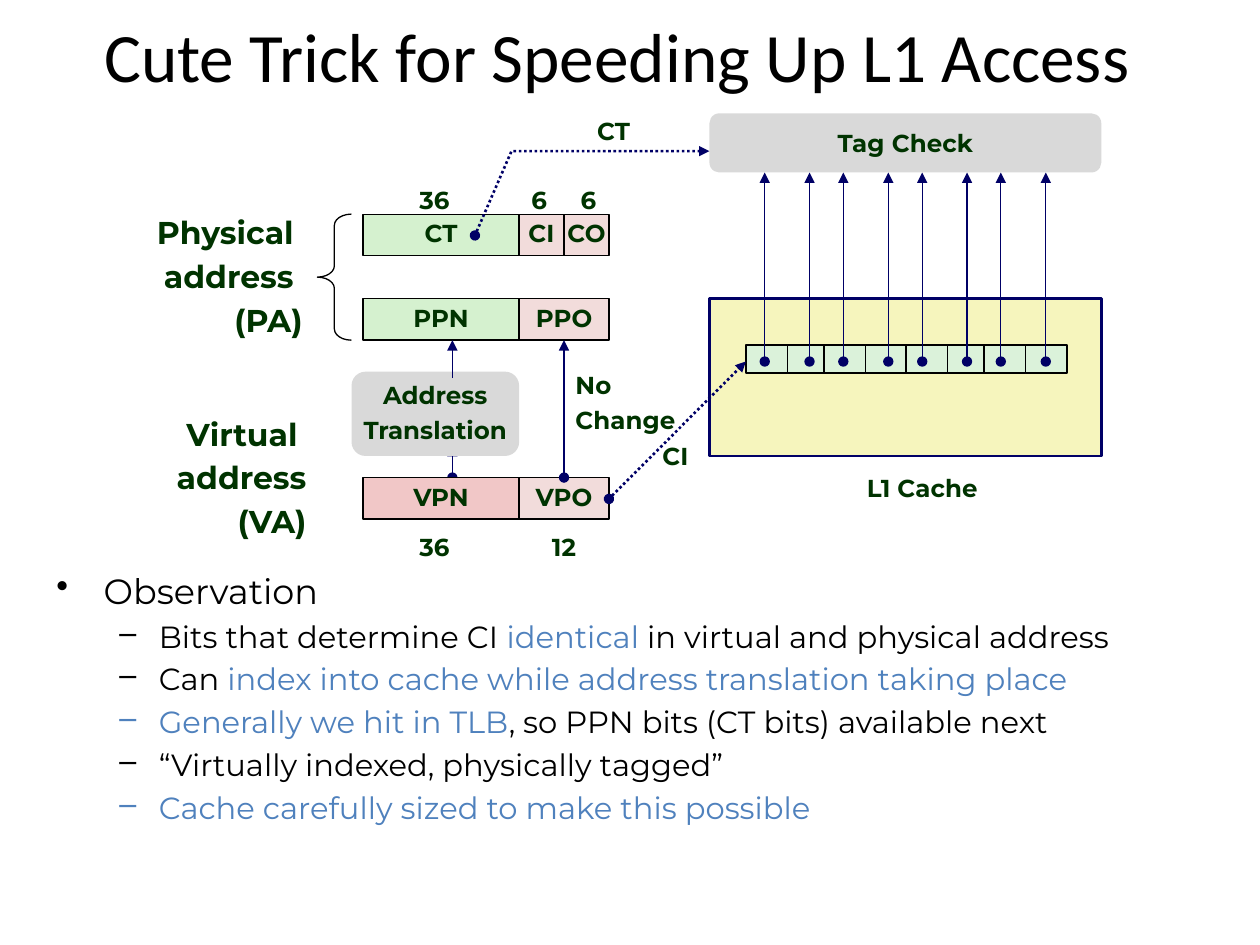
from lxml.etree import SubElement
from pptx import Presentation
from pptx.dml.color import RGBColor
from pptx.enum.dml import MSO_LINE
from pptx.enum.shapes import MSO_CONNECTOR, MSO_SHAPE as SHAPE
from pptx.enum.text import MSO_ANCHOR as ANCHOR, PP_ALIGN as ALIGN
from pptx.oxml.ns import qn
from pptx.util import Pt

COLORS = {
    "black": "000000", "accent": "4F81BD", "label": "003300", "navy": "000066",
    "green": "D5F1CF", "pink": "F2DCDB", "rose": "F1C7C7", "grey": "D9D9D9",
    "yellow": "F6F5BD", "mint": "DBF2DA",
}
RGB = {name: RGBColor.from_string(value) for name, value in COLORS.items()}
LABEL = {"name": "Montserrat", "size": Pt(14), "bold": True, "color": "label"}
SIDE = LABEL | {"size": Pt(18)}
TITLE = {"name": "Calibri", "size": Pt(39.6), "color": "black"}
BULLET = {"name": "Montserrat", "size": Pt(20), "color": "black"}
SUB_BULLET = BULLET | {"size": Pt(17.5)}


def write_text(shape, lines, font=LABEL, before=5.2, spacing=0.88, **frame_format):
    """Fill a shape; a line is a string or a list of (text, font changes) runs."""
    frame = shape.text_frame
    align = frame_format.pop("align", ALIGN.CENTER)
    for name, value in frame_format.items():
        setattr(frame, name, value)
    for index, line in enumerate(lines):
        paragraph = frame.paragraphs[0] if index == 0 else frame.add_paragraph()
        layout = {"alignment": align, "line_spacing": spacing,
                  "space_before": Pt(before if index else 0)}
        for name, value in layout.items():
            setattr(paragraph, name, value)
        for text, changes in [(line, {})] if isinstance(line, str) else line:
            run = paragraph.add_run()
            run.text = text
            for name, value in (font | changes).items():
                if name == "color":
                    run.font.color.rgb = RGB[value]
                else:
                    setattr(run.font, name, value)


def draw_arrow(points, dotted=False, dot=True):
    """Draw an arrow through the points, with an optional dot at its start."""
    if len(points) == 2:
        arrow = slide.shapes.add_connector(
            MSO_CONNECTOR.STRAIGHT, *[Pt(value) for point in points for value in point])
    else:
        corners = [(Pt(x), Pt(y)) for x, y in points]
        builder = slide.shapes.build_freeform(*corners[0])
        builder.add_line_segments(corners[1:], close=False)
        arrow = builder.convert_to_shape()
        arrow.fill.background()
    arrow.line.color.rgb = RGB["navy"]
    arrow.line.width = Pt(1.5 if dotted else 0.75)
    if dotted:
        arrow.line.dash_style = MSO_LINE.ROUND_DOT
    properties = arrow.element.spPr
    outline = properties.find(qn("a:ln"))
    if dot:
        SubElement(outline, qn("a:headEnd"), type="oval")
    SubElement(outline, qn("a:tailEnd"), type="triangle")
    SubElement(properties, qn("a:effectLst"))


presentation = Presentation()
presentation.slide_width, presentation.slide_height = Pt(720), Pt(540)
slide = presentation.slides.add_slide(presentation.slide_layouts[6])

# Title
title = slide.shapes.add_textbox(Pt(18.7), Pt(8.6), Pt(668), Pt(45.4))
write_text(title, ["Cute Trick for Speeding Up L1 Access"], TITLE, spacing=1,
           word_wrap=True, vertical_anchor=ANCHOR.MIDDLE)

# Observation bullets
accent = {"color": "accent"}
bullets = [
    [("Observation", BULLET)],
    [("Bits that determine CI ", {}), ("identical", accent),
     (" in virtual and physical address", {})],
    [("Can ", {}), ("index into cache while address translation taking place", accent)],
    [("Generally we hit in TLB", accent),
     (", so PPN bits (CT bits) available next", {})],
    "“Virtually indexed, physically tagged”",
    [("Cache carefully sized to make this possible", accent)],
]
body = slide.shapes.add_textbox(Pt(25.2), Pt(321.8), Pt(673), Pt(196.6))
write_text(body, bullets, SUB_BULLET, before=3.5, spacing=1,
           align=ALIGN.LEFT, word_wrap=True)
for index, paragraph in enumerate(body.text_frame.paragraphs):
    margin, hanging, mark = (58.5, 22.5, "–") if index else (27, 27, "•")
    paragraph.level = min(index, 1)
    settings = paragraph._p.get_or_add_pPr()
    settings.set("marL", str(Pt(margin)))
    settings.set("indent", str(-Pt(hanging)))
    SubElement(settings, qn("a:buChar"), char=mark)

# Address fields, cache and its lines
FIELD_LEFT, OFFSET_LEFT, FIELD_HEIGHT = 207.4, 296.6, 23.8
PAGE_WIDTH, OFFSET_WIDTH = OFFSET_LEFT - FIELD_LEFT, 51.4
HALF = OFFSET_WIDTH / 2
PHYSICAL_TOP, PAGE_TOP, VIRTUAL_TOP = 122.4, 170.6, 272.9
PAGE_BOTTOM = PAGE_TOP + FIELD_HEIGHT
CACHE_LEFT, CACHE_WIDTH = 405.4, 223.9
fields = [
    ("CT", FIELD_LEFT, PHYSICAL_TOP, PAGE_WIDTH, "green"),
    ("CO", OFFSET_LEFT + HALF, PHYSICAL_TOP, HALF, "pink"),
    ("CI", OFFSET_LEFT, PHYSICAL_TOP, HALF, "pink"),
    ("VPN", FIELD_LEFT, VIRTUAL_TOP, PAGE_WIDTH, "rose"),
    ("VPO", OFFSET_LEFT, VIRTUAL_TOP, OFFSET_WIDTH, "pink"),
    ("PPO", OFFSET_LEFT, PAGE_TOP, OFFSET_WIDTH, "pink"),
    ("PPN", FIELD_LEFT, PAGE_TOP, PAGE_WIDTH, "green"),
]
boxes = [(SHAPE.RECTANGLE, [text], left, top, width, FIELD_HEIGHT, fill, "black", 0.75)
         for text, left, top, width, fill in fields]
boxes.append((SHAPE.RECTANGLE, [], CACHE_LEFT, 170.6, CACHE_WIDTH, 90, "yellow", "navy", 1.5))
boxes += [(SHAPE.RECTANGLE, [], left + half, 197.3, 23.8, 15.8, "mint", "black", 1)
          for half in (0, 91.4) for left in (426.2, 450, 470.9, 494.6)]
boxes += [
    (SHAPE.ROUNDED_RECTANGLE, ["Address", "Translation"],
     200.9, 212.4, 95.8, 48.2, "grey", None, 0),
    (SHAPE.ROUNDED_RECTANGLE,
     [[("Tag", {}), (" ", {"name": "Calibri", "size": Pt(18)}), ("Check", {})]],
     CACHE_LEFT, 64.8, CACHE_WIDTH, 33.8, "grey", None, 0),
]
TRANSLATION_X = 258.5
draw_arrow([(TRANSLATION_X, VIRTUAL_TOP), (TRANSLATION_X, 254.9)])
for kind, lines, left, top, width, height, fill, outline, weight in boxes:
    box = slide.shapes.add_shape(kind, Pt(left), Pt(top), Pt(width), Pt(height))
    box.shadow.inherit = False
    box.fill.solid()
    box.fill.fore_color.rgb = RGB[fill]
    if outline:
        box.line.color.rgb = RGB[outline]
        box.line.width = Pt(weight)
    else:
        box.line.fill.background()
    write_text(box, lines, word_wrap=False, vertical_anchor=ANCHOR.MIDDLE)

brace = slide.shapes.add_shape(SHAPE.LEFT_BRACE, Pt(181.4), Pt(PHYSICAL_TOP), Pt(19.4), Pt(72))
brace.adjustments[0] = 0.33
brace.shadow.inherit = False
brace.fill.background()
brace.line.color.rgb = RGB["black"]
brace.line.width = Pt(0.75)

# Arrows
draw_arrow([(TRANSLATION_X, 216), (TRANSLATION_X, PAGE_BOTTOM)], dot=False)
draw_arrow([(OFFSET_LEFT + HALF, VIRTUAL_TOP), (OFFSET_LEFT + HALF, PAGE_BOTTOM)])
draw_arrow([(348, 285.1), (426.2, 206.6)], dotted=True)
draw_arrow([(271.4, 134.6), (292.3, 86.4), (CACHE_LEFT, 86.4)], dotted=True)
for half in (0, 90):
    for x in (437, 462.6, 481.9, 507.6):
        draw_arrow([(x + half, 206.6), (x + half, 98.6)])

# Labels
labels = [
    (["Physical ", "address ", "(PA)"], 73.4, 121, 106.6, 69.8, ALIGN.RIGHT, SIDE, True),
    (["Virtual ", "address ", "(VA)"], 92.2, 236.2, 90, 69.8, ALIGN.RIGHT, SIDE, True),
    (["36"], 232.6, 104.4, 33.1, 21.6, ALIGN.LEFT, LABEL, False),
    (["6"], 324.7, 104.4, 23.8, 21.6, ALIGN.LEFT, LABEL, False),
    (["6"], 296.6, 104.4, 23.8, 21.6, ALIGN.LEFT, LABEL, False),
    (["36"], 232.6, 302.4, 33.1, 21.6, ALIGN.LEFT, LABEL, False),
    (["12"], OFFSET_LEFT, 302.4, OFFSET_WIDTH, 21.6, ALIGN.CENTER, LABEL, True),
    (["No", "Change"], 321.8, 210.2, 72, 41.8, ALIGN.LEFT, LABEL, False),
    (["CI"], 371.5, 250.6, 31, 21.6, ALIGN.LEFT, LABEL, False),
    (["CT"], 334.1, 64.8, 35.3, 21.6, ALIGN.LEFT, LABEL, False),
    (["L1 Cache"], 475.9, 268.8, 102.2, 21.6, ALIGN.CENTER, LABEL, True),
]
for lines, left, top, width, height, align, font, wrap in labels:
    label = slide.shapes.add_textbox(Pt(left), Pt(top), Pt(width), Pt(height))
    write_text(label, lines, font, before=6 if font is SIDE else 5.2,
               align=align, word_wrap=wrap)

presentation.save("out.pptx")
